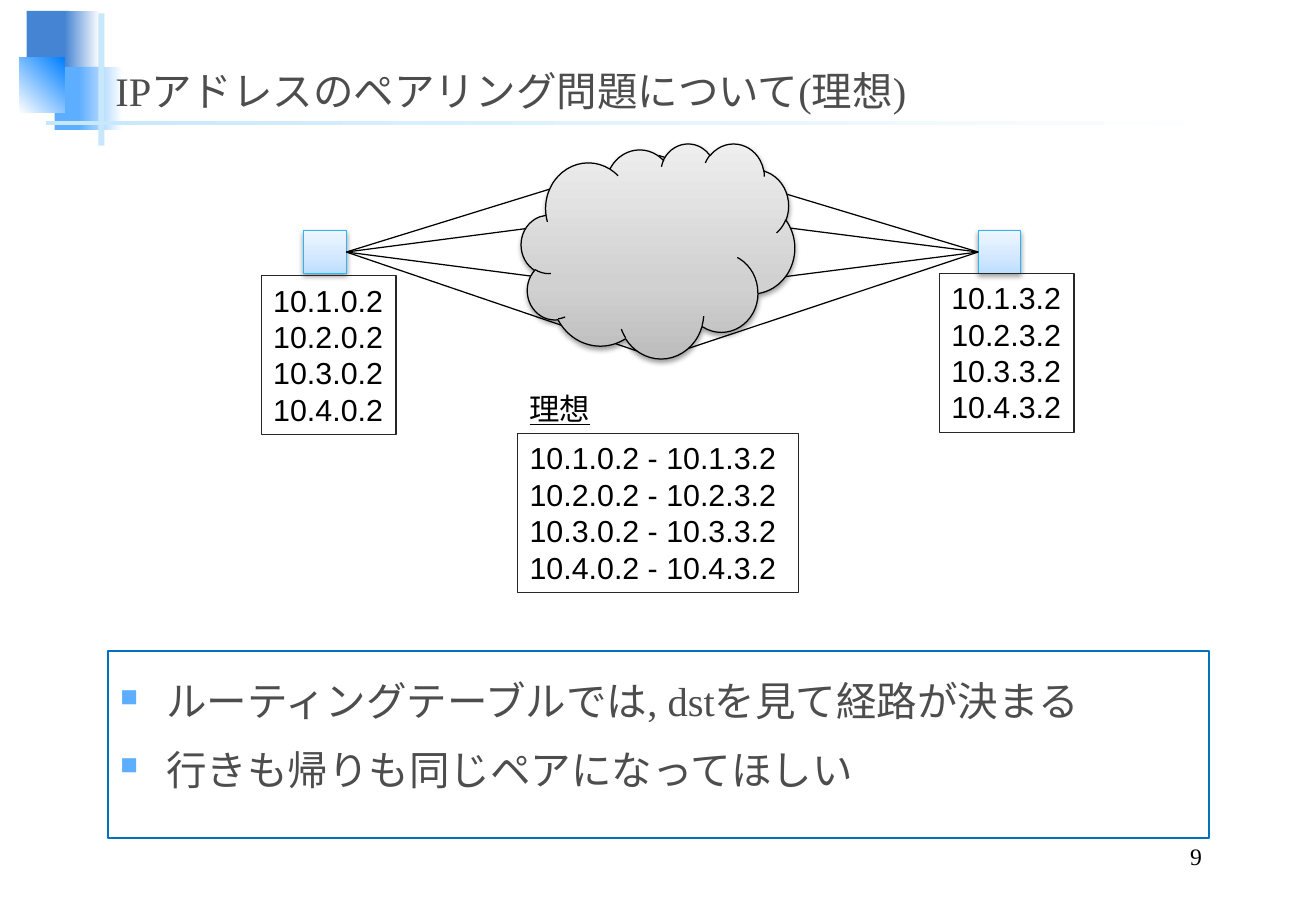
import copy
import dataclasses
import pptx
import pptx.dml.color
import pptx.enum.shapes
import pptx.enum.text
import pptx.oxml
import pptx.oxml.ns
import pptx.util

Inches = pptx.util.Inches
Pt = pptx.util.Pt
Shape = pptx.enum.shapes.MSO_SHAPE
Align = pptx.enum.text.PP_ALIGN
Anchor = pptx.enum.text.MSO_ANCHOR
AutoSize = pptx.enum.text.MSO_AUTO_SIZE
rgb = pptx.dml.color.RGBColor.from_string
namespace = pptx.oxml.ns.nsdecls("a")


@dataclasses.dataclass(frozen=True)
class Theme:
    serif: str = "Times New Roman"
    sans: str = "Arial"
    heading_size: int = 24
    label_size: int = 18
    number_size: int = 14
    ink: str = "000000"
    gray: str = "4D4D4D"
    white: str = "FFFFFF"
    navy: str = "4584D3"
    sky: str = "5EAEFF"
    azure: str = "0080FF"
    pale: str = "C6E7FC"
    frame: str = "0071BC"
    label_line: str = "262626"
    host_line: str = "2BB4FC"
    host: tuple = ((0, "BDDEFF"), (35, "D1E7FF"), (100, "EEF6FF"))
    cloud: tuple = ((0, "BDBDBD"), (35, "D1D1D1"), (100, "EEEEEE"))


theme = Theme()


def add_block(kind, left, top, width, height, stops, angle=0, line=None):
    block = page.shapes.add_shape(kind, Inches(left), Inches(top), Inches(width), Inches(height))
    block.shadow.inherit = False
    if len(stops) == 1:
        block.fill.solid()
        block.fill.fore_color.rgb = rgb(stops[0][1])
    else:
        block.fill.gradient()
        block.fill.gradient_angle = angle
        stop_list = block._element.find(".//" + pptx.oxml.ns.qn("a:gsLst"))
        for _ in stops[2:]:
            stop_list.append(copy.deepcopy(stop_list[-1]))
        for stop, (position, color) in zip(block.fill.gradient_stops, stops):
            stop.position = position / 100
            stop.color.rgb = rgb(color)
    if line is None:
        block.line.fill.background()
    else:
        block.line.color.rgb = rgb(line)
        block.line.width = Pt(0.75)
        effects = block._element.spPr.find(pptx.oxml.ns.qn("a:effectLst"))
        effects.append(pptx.oxml.parse_xml(
            f'<a:outerShdw {namespace} blurRad="40000" dist="20000" dir="5400000" rotWithShape="0">'
            f'<a:srgbClr val="{theme.ink}"><a:alpha val="38000"/></a:srgbClr></a:outerShdw>'))
    return block


def write(box, text, font=theme.sans, size=theme.label_size, color=theme.ink, align=Align.LEFT,
          anchor=Anchor.TOP, wrap=False, underline=None, bullet=False, line=None, line_width=0.75):
    frame = box.text_frame
    frame.text = text
    frame.word_wrap = wrap
    frame.auto_size = AutoSize.NONE if wrap else AutoSize.SHAPE_TO_FIT_TEXT
    frame.vertical_anchor = anchor
    if line:
        box.line.color.rgb = rgb(line)
        box.line.width = Pt(line_width)
    for index, para in enumerate(frame.paragraphs):
        para.alignment = align
        if bullet:
            properties = para._p.get_or_add_pPr()
            properties.set("marL", str(Inches(0.38)))
            properties.set("indent", str(Inches(-0.38)))
            for mark in (f'<a:buClr {namespace}><a:srgbClr val="{theme.sky}"/></a:buClr>',
                         f'<a:buSzPct {namespace} val="60000"/>',
                         f'<a:buChar {namespace} char="■"/>'):
                properties.append(pptx.oxml.parse_xml(mark))
            para.line_spacing = 1.2
            para.space_before = Pt(6 if index else 0)
        for span in para.runs:
            span.font.name = font
            span.font.size = Pt(size)
            span.font.color.rgb = rgb(color)
            span.font.underline = underline


deck = pptx.Presentation()
deck.slide_width = Inches(10.83)
deck.slide_height = Inches(7.5)
page = deck.slides.add_slide(deck.slide_layouts[5])

for left, top, width, height, colors, angle in (
    (0.22, 0.09, 0.35, 0.52, (theme.navy,), 0),
    (0.53, 0.09, 0.29, 0.52, (theme.navy, theme.white), 0),
    (0.45, 0.55, 0.41, 0.52, (theme.sky,), 0),
    (0.65, 0.55, 0.36, 0.52, (theme.sky, theme.white), 0),
    (0.16, 0.47, 0.37, 0.46, (theme.white, theme.azure), 45),
    (0.81, 0.11, 0.05, 1.09, (theme.pale,), 0),
    (0.38, 1, 9.75, 0.03, (theme.pale, theme.white), 0),
):
    add_block(Shape.RECTANGLE, left, top, width, height, list(zip((0, 100), colors)), angle)

title = page.shapes.title
title.left, title.top, title.width, title.height = map(Inches, (0.85, 0.36, 9.29, 0.63))
write(title, "IPアドレスのペアリング問題について(理想)", font=theme.serif, size=theme.heading_size,
      color=theme.gray, anchor=Anchor.BOTTOM, wrap=True)
page.shapes._spTree.append(title._element)

points = page.shapes.add_textbox(Inches(0.89), Inches(5.36), Inches(9.06), Inches(1.54))
write(points, "ルーティングテーブルでは, dstを見て経路が決まる\n行きも帰りも同じペアになってほしい",
      font=theme.serif, size=theme.heading_size, color=theme.gray, wrap=True, bullet=True,
      line=theme.frame, line_width=1.5)
points.text_frame.margin_top = Inches(0.13)

number = page.shapes.add_textbox(Inches(7.73), Inches(6.9), Inches(2.26), Inches(0.31))
write(number, "9", font=theme.serif, size=theme.number_size, align=Align.RIGHT,
      anchor=Anchor.BOTTOM, wrap=True)

hosts = [add_block(Shape.RECTANGLE, left, 1.9, 0.35, 0.35, theme.host, 90, theme.host_line)
         for left in (2.5, 8.05)]
for host, side in zip(hosts, (3, 1)):
    for route_top in (1.28, 2.41, 1.74, 2.95):
        route = page.shapes.add_connector(pptx.enum.shapes.MSO_CONNECTOR.STRAIGHT,
                                          0, 0, Inches(5.42), Inches(route_top))
        route.begin_connect(host, side)
        route.line.color.rgb = rgb(theme.ink)
        route.line.width = Pt(0.75)
        route._element.spPr.append(pptx.oxml.parse_xml(f"<a:effectLst {namespace}/>"))

add_block(Shape.CLOUD, 4.29, 1.18, 2.25, 1.77, theme.cloud, 90, theme.ink)

sources = [f"10.{network}.0.2" for network in range(1, 5)]
targets = [f"10.{network}.3.2" for network in range(1, 5)]
pairs = [f"{source} - {target}" for source, target in zip(sources, targets)]
for left, top, width, addresses in (
    (2.15, 2.27, 1.11, sources),
    (7.73, 2.25, 1.11, targets),
    (4.26, 3.57, 2.31, pairs),
):
    label = page.shapes.add_textbox(Inches(left), Inches(top), Inches(width), Inches(1.31))
    write(label, "\n".join(addresses), line=theme.label_line)

caption = page.shapes.add_textbox(Inches(4.26), Inches(3.16), Inches(0.71), Inches(0.4))
write(caption, "理想", underline=True)

deck.save("out.pptx")
